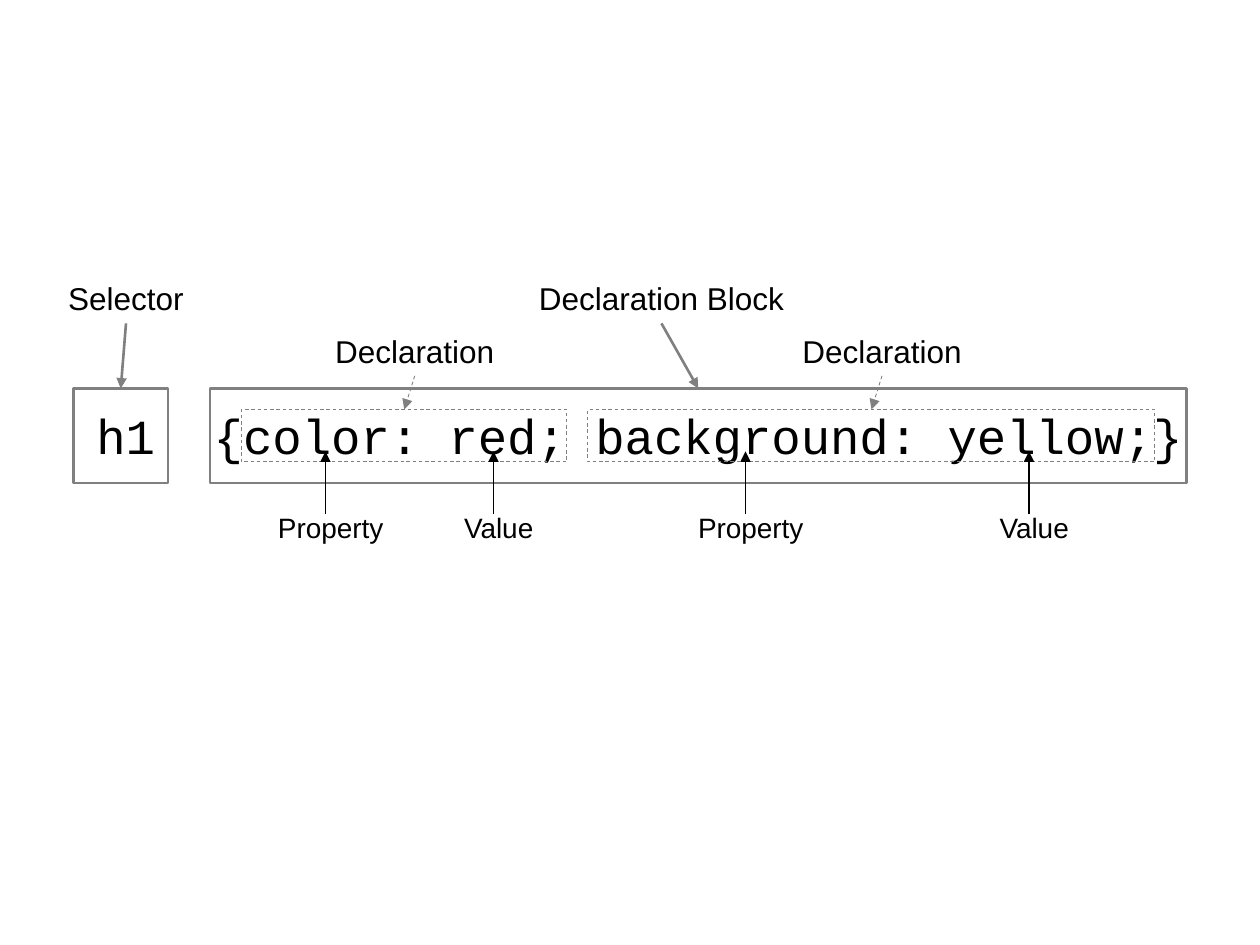
import pptx
import pptx.util
import pptx.dml.color
import pptx.enum.dml
import pptx.enum.shapes
import pptx.enum.text
import pptx.oxml

# Places are in grid units of a twelfth of an inch.
GRID = 12
GREY, BLACK = "808080", "000000"
CODE = ("h1  {color: red; background: yellow;}", 8, 38, 109)
BOTTOM, TOP = 2, 0

# label, its left, top, width; framed box left, top, width, height; line width, dashed
CALLOUTS = [
    ("Selector", (5, 26, 14), (7, 37, 9, 9), 1.5, False),
    ("Declaration Block", (50, 26, 26), (20, 37, 93, 9), 1.5, False),
    ("Declaration", (30, 31, 19), (23, 39, 31, 5), 0.5, True),
    ("Declaration", (74, 31, 20), (56, 39, 54, 5), 0.5, True),
]
# label, its left, width
PARTS = [("Property", 24, 15), ("Value", 42, 11),
         ("Property", 64, 15), ("Value", 93, 11)]
PARTS_TOP, ARROW_START, ARROW_END = 48, 49, 43


def units(count):
    return pptx.util.Inches(count / GRID)


def color(value):
    return pptx.dml.color.RGBColor.from_string(value)


def style_line(line, value, width, dashed=False):
    line.color.rgb = color(value)
    line.width = pptx.util.Pt(width)
    if dashed:
        line.dash_style = pptx.enum.dml.MSO_LINE.DASH


def add_text(page, text, left, top, width, size, font="Arial", centered=True):
    height = pptx.util.Inches(0.1) + pptx.util.Pt(size * 1.2)
    box = page.shapes.add_textbox(units(left), units(top), units(width), height)
    frame = box.text_frame
    frame.word_wrap = True
    frame.auto_size = pptx.enum.text.MSO_AUTO_SIZE.SHAPE_TO_FIT_TEXT
    para = frame.paragraphs[0]
    para.text = text
    para.font.name = font
    para.font.size = pptx.util.Pt(size)
    para.font.color.rgb = color(BLACK)
    if centered:
        para.alignment = pptx.enum.text.PP_ALIGN.CENTER
    return box


def add_frame(page, place, width, dashed):
    box = page.shapes.add_shape(pptx.enum.shapes.MSO_SHAPE.RECTANGLE,
                                *[units(count) for count in place])
    box.shadow.inherit = False
    box.fill.background()
    style_line(box.line, GREY, width, dashed)
    return box


def add_arrow(page, ends, value, width, dashed=False):
    arrow = page.shapes.add_connector(
        pptx.enum.shapes.MSO_CONNECTOR.STRAIGHT, *[units(count) for count in ends])
    style_line(arrow.line, value, width, dashed)
    head = pptx.oxml.parse_xml(
        '<a:tailEnd xmlns:a="http://schemas.openxmlformats.org/drawingml/2006/main"'
        ' type="triangle"/>')
    arrow.line._get_or_add_ln().append(head)
    properties = arrow._element.spPr
    properties.append(properties.makeelement(pptx.oxml.ns.qn("a:effectLst"), {}))
    return arrow


def main():
    deck = pptx.Presentation()
    deck.slide_width = pptx.util.Inches(10)
    deck.slide_height = pptx.util.Inches(7.5)
    page = deck.slides.add_slide(deck.slide_layouts[6])

    add_text(page, *CODE, size=28, font="Courier New", centered=False)
    for text, label_place, frame_place, width, dashed in CALLOUTS:
        frame = add_frame(page, frame_place, width, dashed)
        label = add_text(page, text, *label_place, size=18)
        arrow = add_arrow(page, (0, 0, 1, 1), GREY, width, dashed)
        arrow.begin_connect(label, BOTTOM)
        arrow.end_connect(frame, TOP)
    for text, left, width in PARTS:
        add_text(page, text, left, PARTS_TOP, width, size=16)
        middle = left + width // 2
        add_arrow(page, (middle, ARROW_START, middle, ARROW_END), BLACK, 0.75)

    deck.save("out.pptx")


if __name__ == "__main__":
    main()
